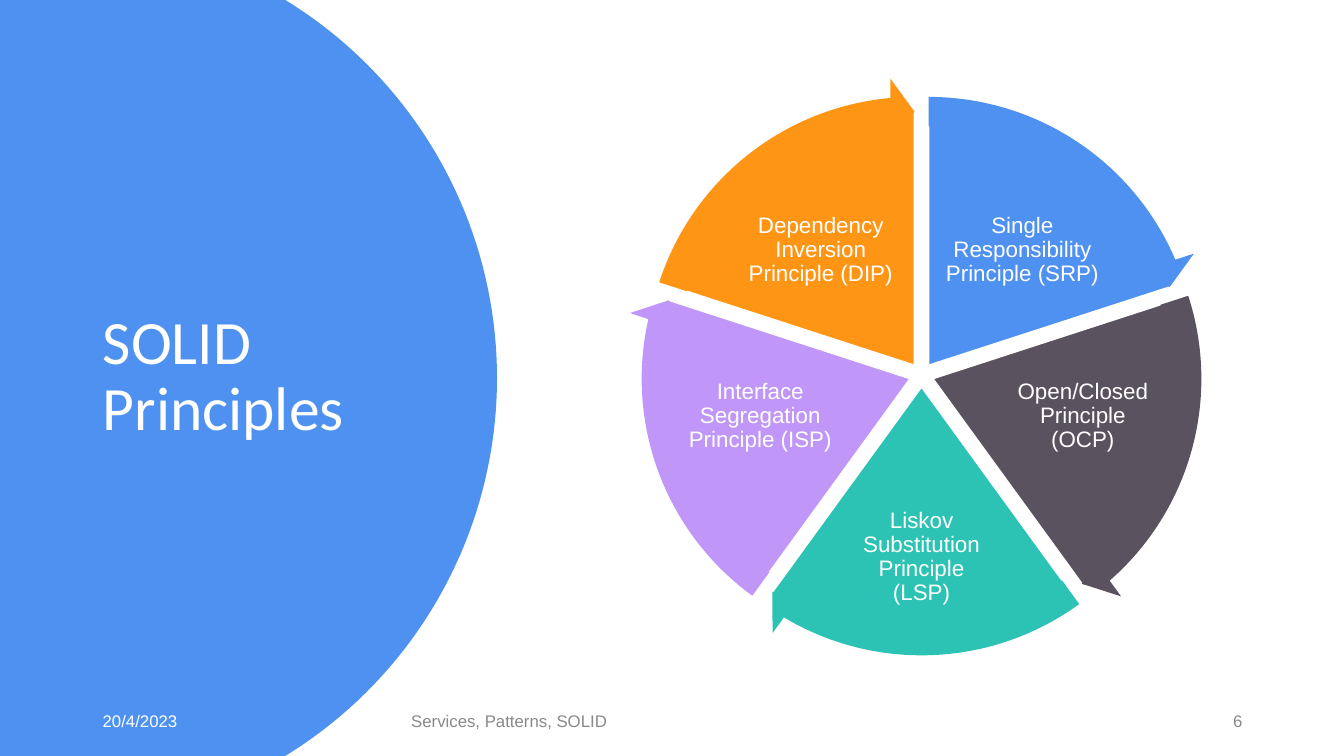
import math
from pptx import Presentation
from pptx.dml import color
from pptx.enum import shapes, text
from pptx.util import Inches, Pt

WHITE, BLUE, GREY = "FFFFFF", "4E91F0", "898989"
PRINCIPLES = [
    ("Single Responsibility Principle (SRP)", BLUE, (1, -1.24), (1.63, 1.09)),
    ("Open/Closed Principle (OCP)", "5B5260", (1.6, 0.41), (1.51, 1.21)),
    ("Liskov Substitution Principle (LSP)", "2CC3B4", (0, 1.81), (1.45, 1.33)),
    ("Interface Segregation Principle (ISP)", "C097F8", (-1.6, 0.41), (1.51, 1.21)),
    ("Dependency Inversion Principle (DIP)", "FF9514", (-1, -1.24), (1.63, 1.09)),
]


def rgb(hex_code):
    return color.RGBColor.from_string(hex_code)


def assign(target, values):
    for name, value in values.items():
        setattr(target, name, value)


def paint(shape, fill, outline=None):
    shape.shadow.inherit = False
    shape.fill.solid()
    shape.fill.fore_color.rgb = rgb(fill)
    if outline:
        shape.line.color.rgb = rgb(outline)
        shape.line.width = Pt(1)
    else:
        shape.line.fill.background()


def write(shape, wording, size, ink, font="Arial", frame_format=None, **paragraph_format):
    frame = shape.text_frame
    frame.text = wording
    assign(frame, {"word_wrap": True, "vertical_anchor": text.MSO_ANCHOR.MIDDLE,
                   **(frame_format or {})})
    paragraph = frame.paragraphs[0]
    assign(paragraph, paragraph_format)
    letters = paragraph.runs[0].font
    assign(letters, {"name": font, "size": Pt(size)})
    letters.color.rgb = rgb(ink)


def centred(middle, size):
    return [Inches(value) for value in (middle[0] - size[0] / 2, middle[1] - size[1] / 2, *size)]


def add_panel(slide, left, top, width, height):
    bulge = 2.1
    radius = (bulge ** 2 + (height / 2) ** 2) / (2 * bulge)
    middle_x, middle_y = left + width - radius, top + height / 2
    sweep = math.asin(height / 2 / radius)
    steps = 80
    angles = [sweep * (2 * step / steps - 1) for step in range(steps + 1)]
    arc = [(Inches(middle_x + radius * math.cos(angle)),
            Inches(middle_y + radius * math.sin(angle))) for angle in angles]
    builder = slide.shapes.build_freeform(Inches(left), Inches(top))
    builder.add_line_segments(arc + [(Inches(left), Inches(top + height))], close=True)
    paint(builder.convert_to_shape(), BLUE)


def add_heading(slide, left, top, width, height):
    heading = slide.shapes.title
    assign(heading, {"left": Inches(left), "top": Inches(top),
                     "width": Inches(width), "height": Inches(height)})
    write(heading, "SOLID Principles", 44, WHITE, "Calibri",
          alignment=text.PP_ALIGN.LEFT, line_spacing=0.9)


def add_wheel(slide, left, top, diameter):
    wheel = slide.shapes.add_group_shape().shapes
    hub = (left + diameter / 2, top + diameter / 2)
    sector = 360 / len(PRINCIPLES)
    gap, arrow_size, head_angle = 0.12, diameter * 1.124, 5.46
    unit = 0.6
    arrows = []
    for index, (principle, fill, offset, label_size) in enumerate(PRINCIPLES):
        start = (270 + index * sector) % 360
        end = (start + sector) % 360
        bisector = math.radians(start + sector / 2)
        middle = (hub[0] + gap * math.cos(bisector), hub[1] + gap * math.sin(bisector))
        slice_ = wheel.add_shape(shapes.MSO_SHAPE.PIE, *centred(middle, (diameter, diameter)))
        slice_.adjustments[0] = start * unit
        slice_.adjustments[1] = end * unit
        paint(slice_, fill, WHITE)
        label = wheel.add_textbox(
            *centred((hub[0] + offset[0], hub[1] + offset[1]), label_size))
        margins = {f"margin_{side}": Inches(0.02) for side in ("left", "top", "right", "bottom")}
        write(label, principle, 16, WHITE, frame_format=margins,
              alignment=text.PP_ALIGN.CENTER, line_spacing=0.9)
        arrows.append((middle, fill, start, end))
    for middle, fill, start, end in arrows:
        arrow = wheel.add_shape(shapes.MSO_SHAPE.CIRCULAR_ARROW,
                                *centred(middle, (arrow_size, arrow_size)))
        bends = (0.05085, head_angle * unit, (end - head_angle) * unit, start * unit, 0.05932)
        for position, bend in enumerate(bends):
            arrow.adjustments[position] = bend
        paint(arrow, fill)


def add_footer(slide, left, top, width, height):
    entries = [
        ("20/4/2023", 0, 3, WHITE, text.PP_ALIGN.LEFT),
        ("Services, Patterns, SOLID", 3.06, 4.93, GREY, text.PP_ALIGN.LEFT),
        ("6", width - 3, 3, GREY, text.PP_ALIGN.RIGHT),
    ]
    for wording, shift, entry_width, ink, alignment in entries:
        entry = slide.shapes.add_textbox(Inches(left + shift), Inches(top),
                                         Inches(entry_width), Inches(height))
        write(entry, wording, 12, ink, alignment=alignment, space_after=Pt(6))


def main():
    deck = Presentation()
    assign(deck, {"slide_width": Inches(13.33), "slide_height": Inches(7.5)})
    slide = deck.slides.add_slide(deck.slide_layouts[5])
    add_panel(slide, 0, 0, 4.93, 7.5)
    add_heading(slide, 0.92, 0.7, 3.23, 6.09)
    add_footer(slide, 0.92, 6.95, 11.5, 0.4)
    add_wheel(slide, 6.6, 1.18, 5.08)
    title = slide.shapes.title._element
    title.getparent().append(title)
    deck.save("out.pptx")


if __name__ == "__main__":
    main()
